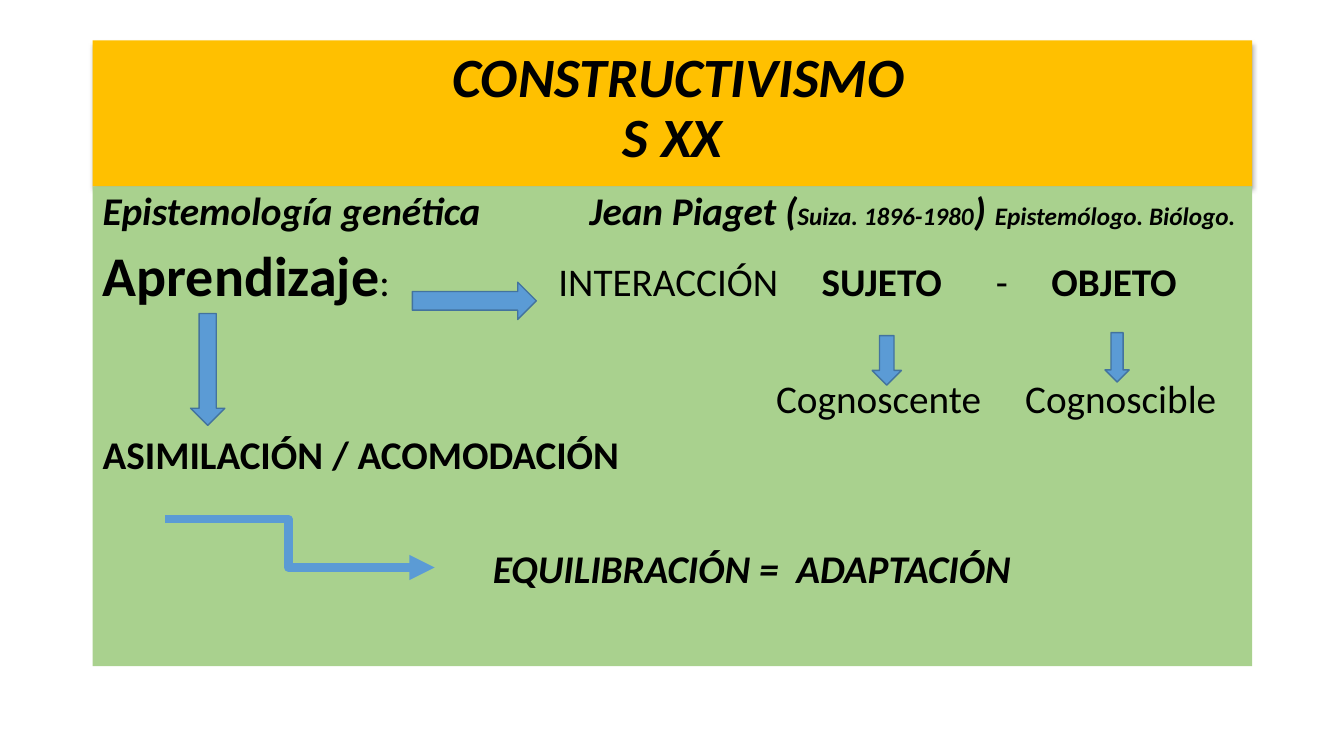
"""Build a slide on constructivism and Piaget's genetic epistemology."""
from lxml.etree import SubElement
from pptx import Presentation
from pptx.dml.color import RGBColor
from pptx.enum.shapes import MSO_CONNECTOR as Link, MSO_SHAPE as Preset
from pptx.enum.text import MSO_ANCHOR as Anchor, PP_ALIGN as Align
from pptx.oxml.ns import qn
from pptx.util import Inches, Pt

COLORS = {"title": "FFC000", "body": "A9D18E", "arrow": "5B9BD5",
          "outline": "43739E", "text": "000000"}
LEFT, WIDTH = 0.92, 11.5
TITLE_TOP, TITLE_HEIGHT, BODY_HEIGHT = 0.4, 1.45, 4.76
BODY_TOP = TITLE_TOP + TITLE_HEIGHT


def add_block(preset, left, top, width, height, color):
    block = slide.shapes.add_shape(
        preset, Inches(left), Inches(top), Inches(width), Inches(height))
    block.shadow.inherit = False
    block.fill.solid()
    block.fill.fore_color.rgb = RGBColor.from_string(COLORS[color])
    block.line.fill.background()
    return block


def style_run(run, size, bold, italic):
    run.font.name = "Calibri"
    run.font.size = Pt(size)
    run.font.bold = bold
    run.font.italic = italic
    run.font.color.rgb = RGBColor.from_string(COLORS["text"])


deck = Presentation()
deck.slide_width, deck.slide_height = Inches(13.33), Inches(7.5)
slide = deck.slides.add_slide(deck.slide_layouts[6])

heading = add_block(Preset.RECTANGLE, LEFT, TITLE_TOP, WIDTH, TITLE_HEIGHT, "title")
effects = heading._element.spPr.find(qn("a:effectLst"))
shadow = SubElement(effects, qn("a:outerShdw"), blurRad=str(Pt(3.5)),
                    dist=str(Pt(2.2)), dir="5400000", rotWithShape="0")
shade = SubElement(shadow, qn("a:srgbClr"), val=COLORS["text"])
SubElement(shade, qn("a:alpha"), val="32000")
heading.text_frame.text = " CONSTRUCTIVISMO\nS XX"
heading.text_frame.vertical_anchor = Anchor.MIDDLE
heading.text_frame.margin_bottom = Inches(0.13)
for line in heading.text_frame.paragraphs:
    line.alignment = Align.CENTER
    line.line_spacing = 0.9
    style_run(line.runs[0], 39.6, True, True)

IDEAS = [
    (0, [4.83], [("Epistemología genética\tJean Piaget (", 28, True, True),
                 ("Suiza. 1896-1980", 18, True, True),
                 (") ", 28, True, True),
                 ("Epistemólogo. Biólogo.", 18, True, True)]),
    (10, [4.52, 7.13, 8.86, 9.41], [("Aprendizaje", 40, True, False),
                                    (":\tINTERACCIÓN\t", 28, False, False),
                                    ("SUJETO", 28, True, False),
                                    ("\t-\t", 28, False, False),
                                    ("OBJETO", 28, True, False)]),
    (51, [6.68, 9.15], [("\tCognoscente\tCognoscible", 28, False, False)]),
    (10, [], [("ASIMILACIÓN / ACOMODACIÓN", 28, True, False)]),
    (51, [3.87], [("\tEQUILIBRACIÓN =  ADAPTACIÓN", 28, True, True)]),
]
body = add_block(Preset.RECTANGLE, LEFT, BODY_TOP, WIDTH, BODY_HEIGHT, "body")
body.text_frame.vertical_anchor = Anchor.TOP
for index, (gap, stops, pieces) in enumerate(IDEAS):
    idea = body.text_frame.add_paragraph() if index else body.text_frame.paragraphs[0]
    idea.alignment = Align.LEFT
    idea.line_spacing = 0.9
    idea.space_before = Pt(gap)
    if stops:
        tab_list = SubElement(idea._p.get_or_add_pPr(), qn("a:tabLst"))
        for stop in stops:
            SubElement(tab_list, qn("a:tab"), pos=str(Inches(stop)), algn="l")
    for words, size, bold, italic in pieces:
        piece = idea.add_run()
        piece.text = words
        style_run(piece, size, bold, italic)

ARROWS = [
    (Preset.RIGHT_ARROW, 4.09, 2.8, 1.23, 0.37),
    (Preset.DOWN_ARROW, 8.65, 3.33, 0.29, 0.49),
    (Preset.DOWN_ARROW, 10.96, 3.3, 0.24, 0.49),
    (Preset.DOWN_ARROW, 1.89, 3.11, 0.34, 1.11),
]
for preset, left, top, width, height in ARROWS:
    arrow = add_block(preset, left, top, width, height, "arrow")
    arrow.line.color.rgb = RGBColor.from_string(COLORS["outline"])
    arrow.line.width = Pt(1)

step = slide.shapes.add_connector(
    Link.ELBOW, Inches(1.64), Inches(5.15), Inches(4.31), Inches(5.63))
step.line.color.rgb = RGBColor.from_string(COLORS["arrow"])
step.line.width = Pt(6)
SubElement(step.line._get_or_add_ln(), qn("a:tailEnd"), type="triangle")
step_props = step._element.spPr
SubElement(step_props, qn("a:effectLst"))
guides = step_props.find(qn("a:prstGeom")).find(qn("a:avLst"))
SubElement(guides, qn("a:gd"), name="adj1", fmla="val 45700")

deck.save("out.pptx")
